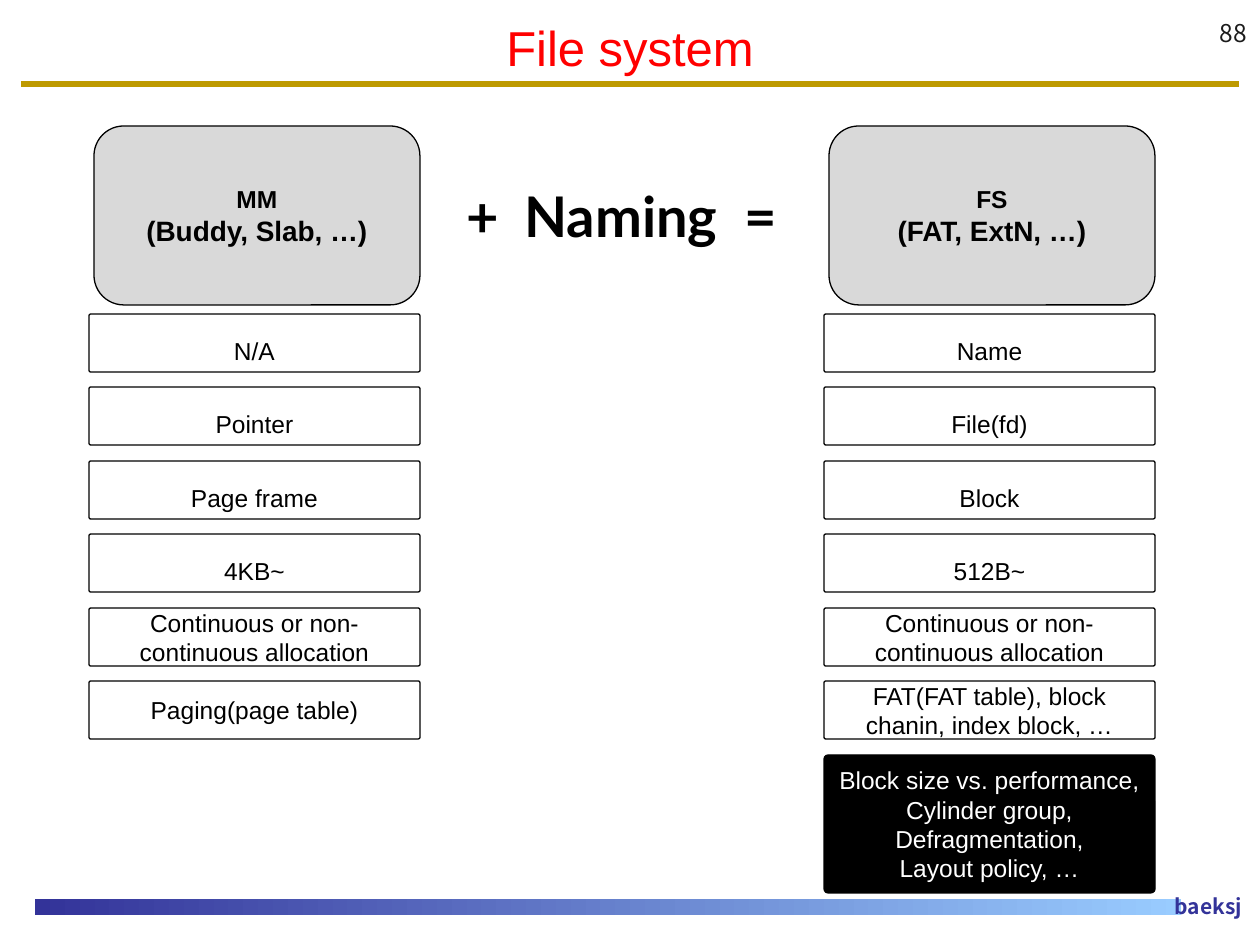
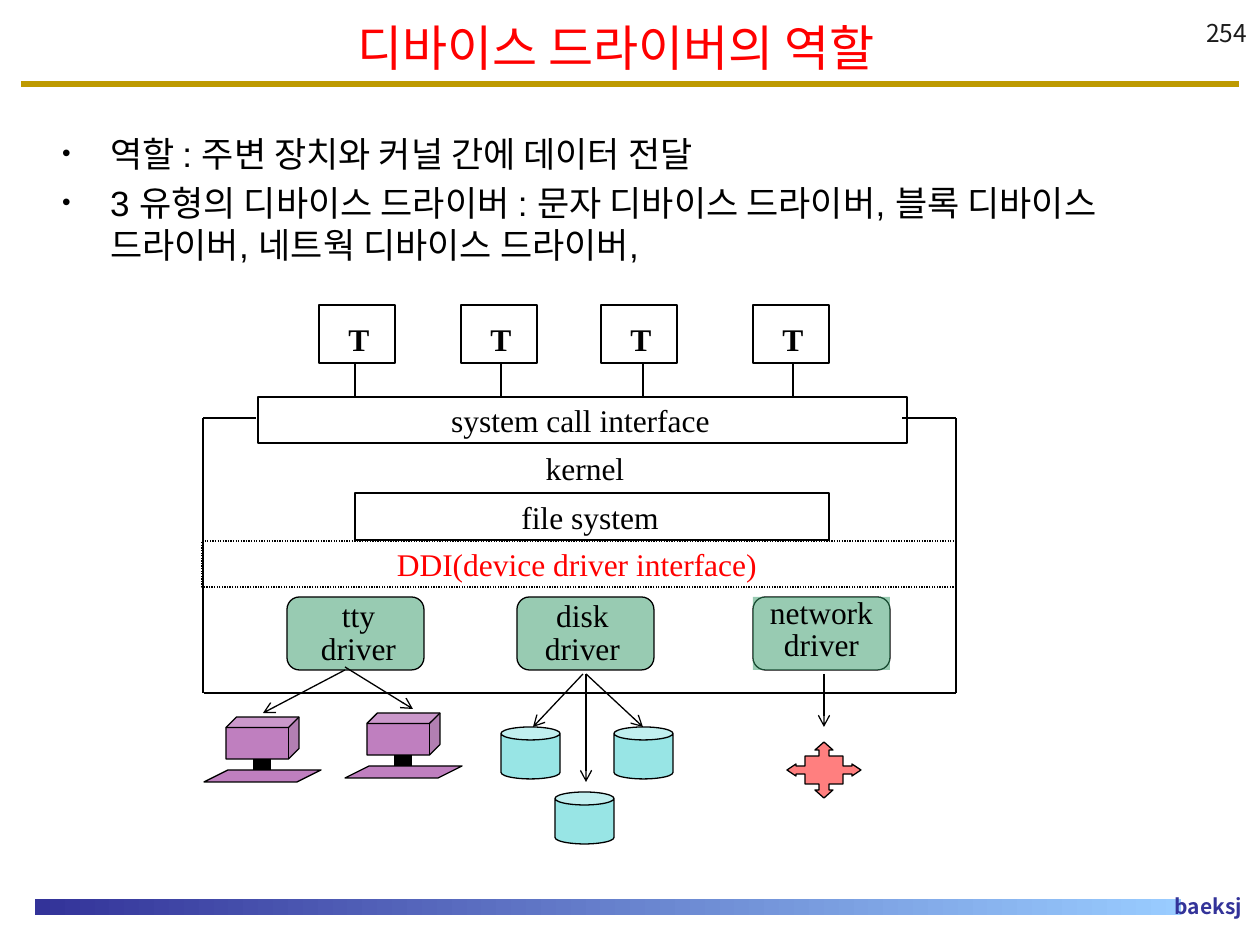
from dataclasses import dataclass
from typing import Any, Optional, Sequence

from lxml import etree
from pptx import Presentation
from pptx import util as u
from pptx.dml.color import RGBColor
from pptx.enum import dml, shapes, text
from pptx.oxml.ns import qn

EMU_PER_PX = 914400 / 126
BLACK, WHITE, RED, GRAY = "000000", "FFFFFF", "FF0000", "D9D9D9"
GOLD, NAVY, SKY, INK = "BE9A00", "333399", "99CCFF", "1C1C1C"
GREEN, TEAL, PURPLE = "339966", "33CCCC", "800080"
SANS, SERIF, KOREAN, LATO = "Arial", "Times New Roman", "Noto Sans CJK KR", "Lato"
KIND = shapes.MSO_SHAPE
LEFT, CENTER, RIGHT = text.PP_ALIGN.LEFT, text.PP_ALIGN.CENTER, text.PP_ALIGN.RIGHT
TOP, MIDDLE, BOTTOM = (text.MSO_ANCHOR.TOP, text.MSO_ANCHOR.MIDDLE,
                       text.MSO_ANCHOR.BOTTOM)
DEFAULT_INSETS = (13, 6, 13, 6)


@dataclass(frozen=True)
class Box:
    left: int
    top: int
    width: int
    height: int


@dataclass(frozen=True)
class Type:
    size: int
    font: str = SANS
    color: str = BLACK
    bold: bool = False


@dataclass(frozen=True)
class Layout:
    align: Any = CENTER
    anchor: Any = MIDDLE
    insets: tuple[int, int, int, int] = DEFAULT_INSETS
    spacing: Optional[float] = None
    gap: float = 0


@dataclass(frozen=True)
class Look:
    fill: Optional[str] = None
    line: Optional[str] = BLACK
    half_clear: bool = False
    adjust: Optional[float] = None


@dataclass(frozen=True)
class Stroke:
    x1: int
    y1: int
    x2: int
    y2: int
    width: float = 0.75
    color: str = BLACK
    arrow: bool = False


def px(length: float) -> u.Emu:
    return u.Emu(round(length * EMU_PER_PX))


def rgb(color: str) -> RGBColor:
    return RGBColor.from_string(color)


def place(shape: Any, box: Box) -> None:
    shape.left, shape.top = px(box.left), px(box.top)
    shape.width, shape.height = px(box.width), px(box.height)


def write(shape: Any, lines: Sequence[str], types: Sequence[Type],
          layout: Layout = Layout()) -> None:
    """Fill a shape with one paragraph per line; the last type covers the rest."""
    frame = shape.text_frame
    frame.word_wrap = True
    frame.auto_size = text.MSO_AUTO_SIZE.NONE
    frame.vertical_anchor = layout.anchor
    (frame.margin_left, frame.margin_top,
     frame.margin_right, frame.margin_bottom) = map(px, layout.insets)
    for index, line in enumerate(lines):
        style = types[min(index, len(types) - 1)]
        paragraph = frame.add_paragraph() if index else frame.paragraphs[0]
        paragraph.alignment = layout.align
        paragraph.space_before = u.Pt(layout.gap if index else 0)
        if layout.spacing:
            paragraph.line_spacing = layout.spacing
        run = paragraph.add_run()
        run.text = line
        run.font.size, run.font.name = u.Pt(style.size), style.font
        run.font.bold, run.font.color.rgb = style.bold, rgb(style.color)


def dress(shape: Any, look: Look) -> None:
    shape.shadow.inherit = False
    if look.adjust is not None:
        shape.adjustments[0] = look.adjust
    if look.fill:
        shape.fill.solid()
        shape.fill.fore_color.rgb = rgb(look.fill)
        if look.half_clear:
            color = shape._element.spPr.find(qn("a:solidFill"))[0]
            etree.SubElement(color, qn("a:alpha"), val="50000")
    else:
        shape.fill.background()
    if look.line:
        shape.line.color.rgb = rgb(look.line)
        shape.line.width = u.Pt(0.75)
    else:
        shape.line.fill.background()


def add_box(parts: Any, kind: Any, box: Box, look: Look) -> Any:
    shape = parts.add_shape(kind, px(box.left), px(box.top),
                            px(box.width), px(box.height))
    dress(shape, look)
    return shape


def add_label(slide: Any, box: Box, line: str, style: Type, layout: Layout) -> Any:
    label = slide.shapes.add_textbox(px(box.left), px(box.top),
                                     px(box.width), px(box.height))
    write(label, [line], [style], layout)
    return label


def add_stroke(parts: Any, stroke: Stroke) -> None:
    line = parts.add_connector(shapes.MSO_CONNECTOR.STRAIGHT, px(stroke.x1),
                               px(stroke.y1), px(stroke.x2), px(stroke.y2))
    line.line.color.rgb = rgb(stroke.color)
    line.line.width = u.Pt(stroke.width)
    properties = line._element.spPr
    if stroke.arrow:
        etree.SubElement(properties.find(qn("a:ln")), qn("a:tailEnd"), type="arrow")
    etree.SubElement(properties, qn("a:effectLst"))


def start_slide(deck: Any, layout_index: int, number: int, title: str,
                title_left: int = 21) -> Any:
    """Add a slide with the shared rule, footer band, number and title."""
    slide = deck.slides.add_slide(deck.slide_layouts[layout_index])
    add_stroke(slide.shapes, Stroke(21, 84, 1239, 84, 3, GOLD))
    band = add_box(slide.shapes, KIND.RECTANGLE, Box(35, 899, 1146, 16),
                   Look(NAVY, None))
    band.fill.gradient()
    band.fill.gradient_angle = 0
    for stop, color in zip(band.fill.gradient_stops, (NAVY, SKY)):
        stop.color.rgb = rgb(color)
    add_label(slide, Box(1116, 888, 144, 38), "baeksj",
              Type(12, KOREAN, NAVY, True), Layout(RIGHT, TOP, (0, 6, 18, 6)))
    add_label(slide, Box(998, 21, 262, 32), str(number),
              Type(14, KOREAN, INK), Layout(RIGHT, BOTTOM))
    place(slide.shapes.title, Box(title_left, 10, 1218, 74))
    write(slide.shapes.title, [title], [Type(28, color=RED)])
    return slide


@dataclass(frozen=True)
class Column:
    left: int
    heading: tuple[str, str]
    rows: tuple[str, ...]


COLUMNS = (
    Column(89, ("MM", "(Buddy, Slab, …)"),
           ("N/A", "Pointer", "Page frame", "4KB~",
            "Continuous or non-continuous allocation", "Paging(page table)")),
    Column(824, ("FS", "(FAT, ExtN, …)"),
           ("Name", "File(fd)", "Block", "512B~",
            "Continuous or non-continuous allocation",
            "FAT(FAT table), block chanin, index block, …")),
)
ISSUES = ("Block size vs. performance,", "Cylinder group,",
          "Defragmentation,", "Layout policy, …")
LOOSE_ROWS = 4


def row_top(index: int) -> int:
    return 314 + index * 147 // 2


def build_file_system(deck: Any) -> None:
    slide = start_slide(deck, 5, 88, "File system")
    for column in COLUMNS:
        heading = add_box(slide.shapes, KIND.ROUNDED_RECTANGLE,
                          Box(column.left + 5, 126, 326, 179), Look(GRAY))
        write(heading, column.heading, [Type(14, bold=True), Type(16, bold=True)])
        for index, row in enumerate(column.rows):
            cell = add_box(slide.shapes, KIND.ROUNDED_RECTANGLE,
                           Box(column.left, row_top(index), 331, 58),
                           Look(adjust=0.03))
            write(cell, [row], [Type(14)],
                  Layout(spacing=1.5 if index < LOOSE_ROWS else None))
    issues = add_box(slide.shapes, KIND.ROUNDED_RECTANGLE,
                     Box(COLUMNS[1].left, row_top(6), 331, 138),
                     Look(BLACK, adjust=0.03))
    write(issues, ISSUES, [Type(14, color=WHITE)])

    equation = add_label(slide, Box(467, 175, 330, 81), "+\tNaming\t=",
                         Type(32, LATO, bold=True),
                         Layout(LEFT, insets=(0, 6, 0, 6)))
    properties = equation.text_frame.paragraphs[0]._p.get_or_add_pPr()
    tabs = etree.SubElement(properties, qn("a:tabLst"))
    for position in (154, 294):
        etree.SubElement(tabs, qn("a:tab"), pos=str(px(position)), algn="ctr")


ROLES = ("역할 : 주변 장치와 커널 간에 데이터 전달",
         "3 유형의 디바이스 드라이버 : 문자 디바이스 드라이버, 블록 디바이스 드라이버, "
         "네트웍 디바이스 드라이버,")
SERIF_18 = Type(18, SERIF)
TASKS = ((319, 355), (461, 501), (601, 643), (753, 793))  # box left, stem x
DRIVERS = ((287, "tty", 6), (517, "disk", -6), (753, "network", 0))
KERNEL_FRAME = ((256, 418, 203, 418), (203, 693, 203, 418), (956, 693, 956, 418),
                (956, 418, 902, 418), (956, 693, 204, 693))
ARROWS = ((345, 670, 263, 713), (345, 667, 413, 709), (583, 674, 533, 727),
          (586, 674, 643, 727), (586, 674, 586, 782), (824, 674, 824, 727))


def add_roles(slide: Any) -> None:
    roles = slide.placeholders[1]
    place(roles, Box(49, 126, 1171, 158))
    write(roles, ROLES, [Type(20)], Layout(LEFT, TOP, gap=4))
    for paragraph in roles.text_frame.paragraphs:
        properties = paragraph._p.get_or_add_pPr()
        properties.set("marL", str(px(48)))
        properties.set("indent", str(px(-48)))
        color = etree.SubElement(properties, qn("a:buClr"))
        etree.SubElement(color, qn("a:srgbClr"), val=BLACK)
        etree.SubElement(properties, qn("a:buSzPct"), val="70000")
        etree.SubElement(properties, qn("a:buChar"), char="•")


def add_terminal(slide: Any, left: int, top: int) -> None:
    parts = slide.shapes.add_group_shape().shapes
    look = Look(PURPLE, half_clear=True, adjust=0.25)
    add_box(parts, KIND.CUBE, Box(left + 22, top, 73, 42), look)
    add_box(parts, KIND.PARALLELOGRAM, Box(left, top + 53, 117, 12),
            Look(PURPLE, half_clear=True, adjust=2))
    add_stroke(parts, Stroke(left + 58, top + 42, left + 58, top + 53, 10))


def add_network_hub(slide: Any, center_x: int, center_y: int) -> None:
    """Draw a four-way arrow by mirroring its upper right quarter."""
    quarter = [(0, -28), (9, -20), (5, -20), (5, -14), (19, -14),
               (19, -4), (28, -4), (28, -6), (37, 0)]
    half = quarter + [(x, -y) for x, y in reversed(quarter[:-1])]
    outline = half + [(-x, y) for x, y in reversed(half[1:-1])]
    points = [(center_x + x, center_y + y) for x, y in outline]
    builder = slide.shapes.build_freeform(*points[0], scale=EMU_PER_PX)
    builder.add_line_segments(points[1:], close=True)
    dress(builder.convert_to_shape(), Look(RED, half_clear=True))


def build_device_drivers(deck: Any) -> None:
    slide = start_slide(deck, 1, 254, "디바이스 드라이버의 역할", title_left=7)
    add_roles(slide)
    for left, stem in TASKS:
        task = add_box(slide.shapes, KIND.RECTANGLE, Box(left, 305, 76, 58), Look())
        write(task, ["T"], [Type(18, SERIF, bold=True)],
              Layout(insets=(4, 10, 0, 0)))
        add_stroke(slide.shapes, Stroke(stem, 363, stem, 397))

    layers = ((Box(258, 397, 649, 46), "system call interface", BLACK),
              (Box(355, 493, 474, 47), "file system", BLACK),
              (Box(202, 541, 754, 46), "DDI(device driver interface)", RED))
    for box, name, color in layers:
        layer = add_box(slide.shapes, KIND.RECTANGLE, box, Look())
        write(layer, [name], [Type(18, SERIF, color)], Layout(insets=(0, 0, 4, 0)))
    layer.line.dash_style = dml.MSO_LINE.ROUND_DOT
    add_label(slide, Box(510, 443, 150, 50), "kernel", SERIF_18, Layout())

    for left, device, shift in DRIVERS:
        box = Box(left, 597, 137, 73)
        green = Look(GREEN, half_clear=True, adjust=0.17)
        if device == "network":
            add_box(slide.shapes, KIND.ROUNDED_RECTANGLE, box, Look(adjust=0.17))
            driver = add_box(slide.shapes, KIND.RECTANGLE, box,
                             Look(GREEN, None, half_clear=True))
        else:
            driver = add_box(slide.shapes, KIND.ROUNDED_RECTANGLE, box, green)
        write(driver, [device, "driver"], [SERIF_18],
              Layout(anchor=TOP, insets=(max(shift, 0), 6, max(-shift, 0), 6),
                     spacing=0.7, gap=3.6))

    for side in KERNEL_FRAME:
        add_stroke(slide.shapes, Stroke(*side, width=1.5))
    for left, top in ((501, 727), (614, 727), (555, 792)):
        add_box(slide.shapes, KIND.CAN, Box(left, top, 59, 52),
                Look(TEAL, half_clear=True, adjust=0.25))
    add_terminal(slide, 345, 713)
    add_terminal(slide, 204, 717)
    add_network_hub(slide, 824, 770)
    for arrow in ARROWS:
        add_stroke(slide.shapes, Stroke(*arrow, arrow=True))


def main() -> None:
    deck = Presentation()
    deck.slide_width, deck.slide_height = px(1260), px(945)
    build_file_system(deck)
    build_device_drivers(deck)
    deck.save("out.pptx")


if __name__ == "__main__":
    main()
